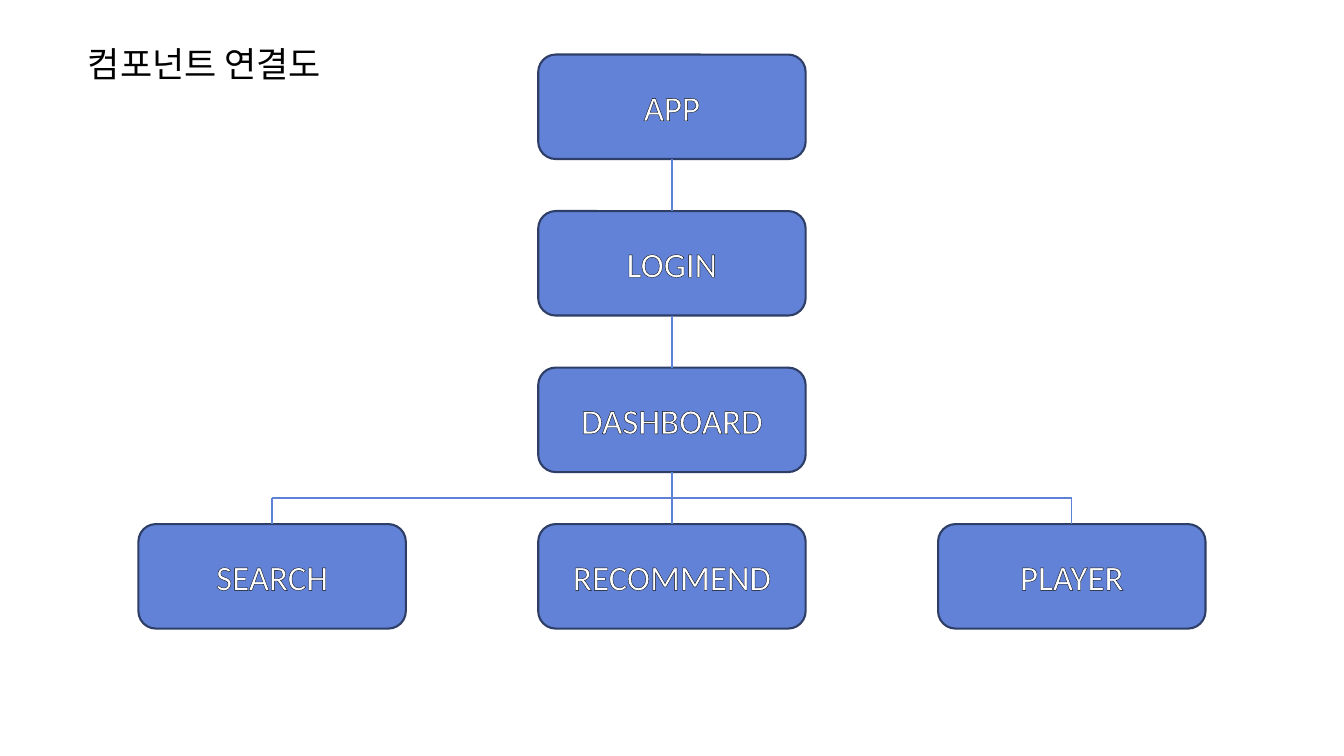
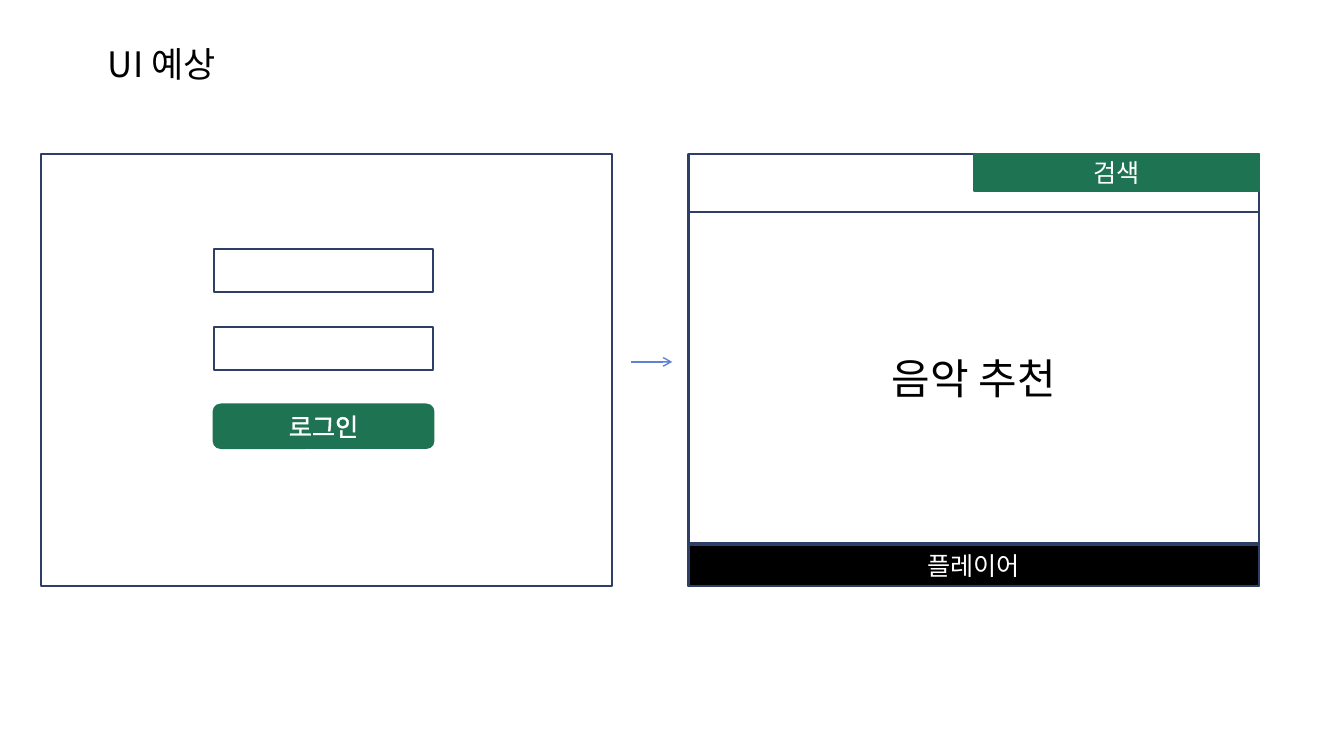
from lxml import etree
from pptx import Presentation
from pptx.dml.color import RGBColor
from pptx.enum import shapes, text
from pptx.oxml import ns
from pptx.util import Pt

BLUE = RGBColor(0x61, 0x82, 0xD6)
NAVY = RGBColor(0x2E, 0x3E, 0x67)
LINK = RGBColor(0x5E, 0x81, 0xD9)
GREEN = RGBColor(0x1E, 0x74, 0x52)
WHITE = RGBColor(0xFF, 0xFF, 0xFF)
BLACK = RGBColor(0x00, 0x00, 0x00)

LATIN, KOREAN = "Calibri", "Noto Sans CJK KR"
RECT = shapes.MSO_SHAPE.RECTANGLE
ROUND = shapes.MSO_SHAPE.ROUNDED_RECTANGLE

TOP, LEFT, BOTTOM, RIGHT = range(4)  # connection sites of a rectangle


def write(sp, label, size, color, font=LATIN, outline=None):
    """Put one centred line of text in a shape."""
    tf = sp.text_frame
    tf.word_wrap = True
    tf.vertical_anchor = text.MSO_ANCHOR.MIDDLE
    p = tf.paragraphs[0]
    p.alignment = text.PP_ALIGN.CENTER
    r = p.add_run()
    r.text = label
    for name, value in {"size": Pt(size), "name": font}.items():
        setattr(r.font, name, value)
    r.font.color.rgb = color
    rpr = r.font._element
    etree.SubElement(rpr, ns.qn("a:ea"), typeface=KOREAN)
    if outline is not None:
        ln = etree.Element(ns.qn("a:ln"), w=str(Pt(0.75)))
        fill = etree.SubElement(ln, ns.qn("a:solidFill"))
        etree.SubElement(fill, ns.qn("a:srgbClr"), val=str(outline))
        rpr.insert(0, ln)


def add_title(s, label, width):
    sp = s.shapes.add_textbox(0, 0, Pt(width), Pt(90))
    write(sp, label, 25, BLACK, KOREAN)


def add_box(s, x, y, w, h, fill=WHITE, line=NAVY, kind=RECT):
    sp = s.shapes.add_shape(kind, Pt(x), Pt(y), Pt(w), Pt(h))
    sp.shadow.inherit = False
    sp.fill.solid()
    sp.fill.fore_color.rgb = fill
    sp.line.color.rgb = line
    sp.line.width = Pt(1.5)
    return sp


def add_line(s, x1, y1, x2, y2, arrow=False):
    c = s.shapes.add_connector(shapes.MSO_CONNECTOR.STRAIGHT,
                               Pt(x1), Pt(y1), Pt(x2), Pt(y2))
    c.line.color.rgb = LINK
    c.line.width = Pt(1)
    if arrow:
        etree.SubElement(c.line._get_or_add_ln(), ns.qn("a:tailEnd"), type="arrow")
    etree.SubElement(c._element.spPr, ns.qn("a:effectLst"))
    return c


def component_slide(prs):
    s = prs.slides.add_slide(prs.slide_layouts[6])
    add_title(s, "컴포넌트 연결도", 292)

    # Components on a grid of columns and rows
    w, h = 191, 74.6
    mid, col_step = 480, 285.6
    top, row_step = 39, 111.8
    grid = {"APP": (0, 0), "LOGIN": (0, 1), "DASHBOARD": (0, 2),
            "SEARCH": (-1, 3), "RECOMMEND": (0, 3), "PLAYER": (1, 3)}
    boxes = {}
    for label, (col, row) in grid.items():
        sp = add_box(s, mid + col * col_step - w / 2, top + row * row_step,
                     w, h, BLUE, kind=ROUND)
        write(sp, label, 25, WHITE, outline=BLACK)
        boxes[label] = sp

    # Central chain
    chain = ["APP", "LOGIN", "DASHBOARD", "RECOMMEND"]
    for upper, lower in zip(chain, chain[1:]):
        c = add_line(s, mid, top, mid, top)
        c.begin_connect(boxes[upper], BOTTOM)
        c.end_connect(boxes[lower], TOP)

    # Branch to the outer components
    leaf_y = top + 3 * row_step
    bus_y = leaf_y - (row_step - h) / 2
    for label in ("SEARCH", "PLAYER"):
        x = mid + grid[label][0] * col_step
        add_line(s, x, leaf_y, x, bus_y).begin_connect(boxes[label], TOP)
    add_line(s, mid - col_step, bus_y, mid + col_step, bus_y)


def ui_slide(prs):
    s = prs.slides.add_slide(prs.slide_layouts[6])
    add_title(s, "UI 예상", 231)
    y, w, h = 110.2, 407.5, 308.2  # both screens

    # Login screen
    add_box(s, 29.5, y, w, h)
    field_x, field_y, field_w, field_h, step = 152.6, 177.8, 157, 31, 55.6
    for i in range(2):
        add_box(s, field_x, field_y + i * step, field_w, field_h)
    button = add_box(s, field_x, field_y + 2 * step, field_w, field_h,
                     GREEN, GREEN, ROUND)
    write(button, "로그인", 18, WHITE, outline=WHITE)

    add_line(s, 450.7, 258.5, 480.2, 258.5, arrow=True)

    # Music screen
    x, player_h = 491.8, 28.8
    add_box(s, x, y, w, h)
    player = add_box(s, x, y + h - player_h, w, player_h, BLACK)
    write(player, "플레이어", 18, WHITE)
    search = add_box(s, x + w / 2, y, w / 2, 26, GREEN, GREEN)
    write(search, "검색", 18, WHITE)
    music = add_box(s, x, 151.2, w, 237)
    write(music, "음악 추천", 30, BLACK)


def main():
    prs = Presentation()
    prs.slide_width, prs.slide_height = Pt(960), Pt(540)
    component_slide(prs)
    ui_slide(prs)
    prs.save("out.pptx")


if __name__ == "__main__":
    main()
